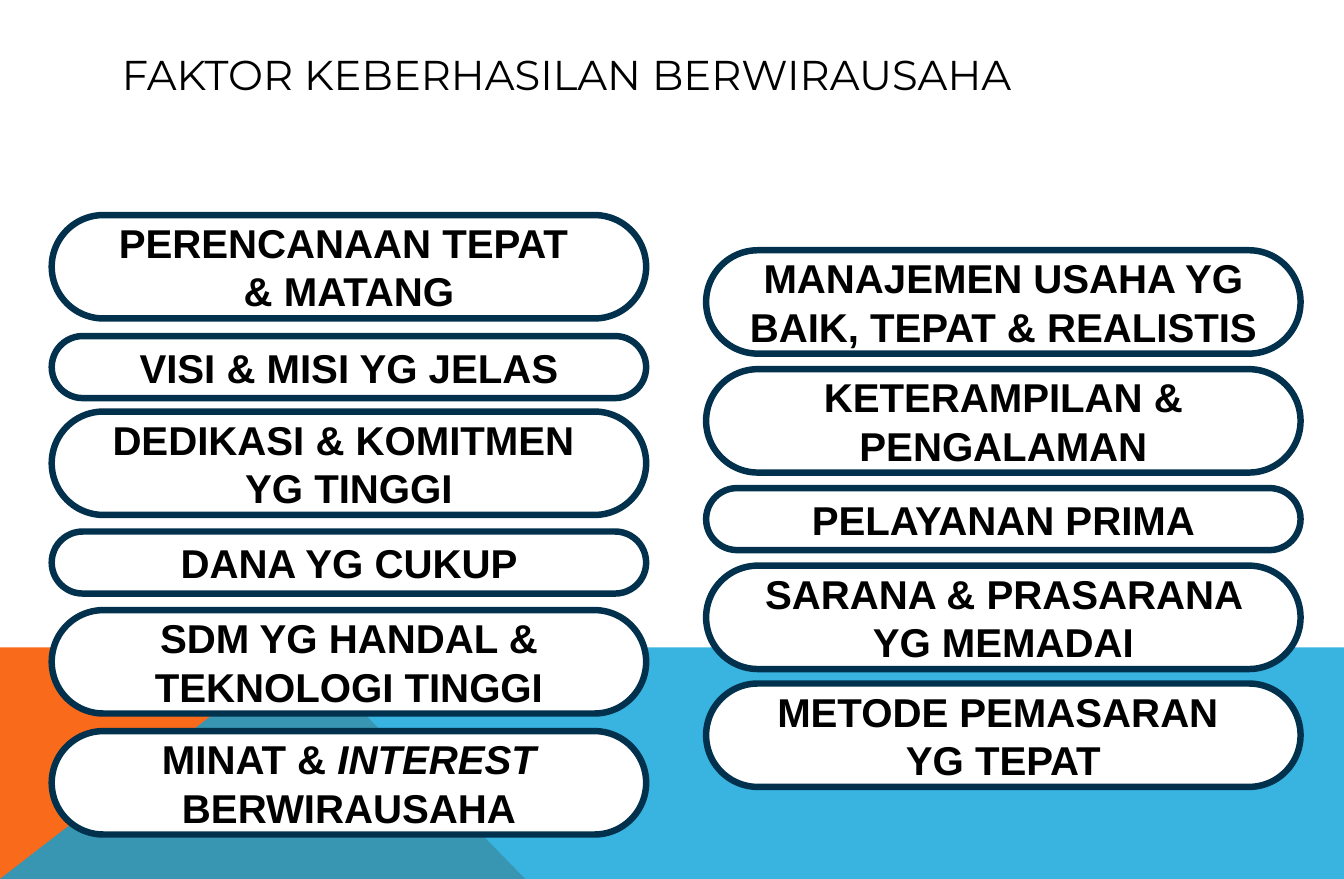
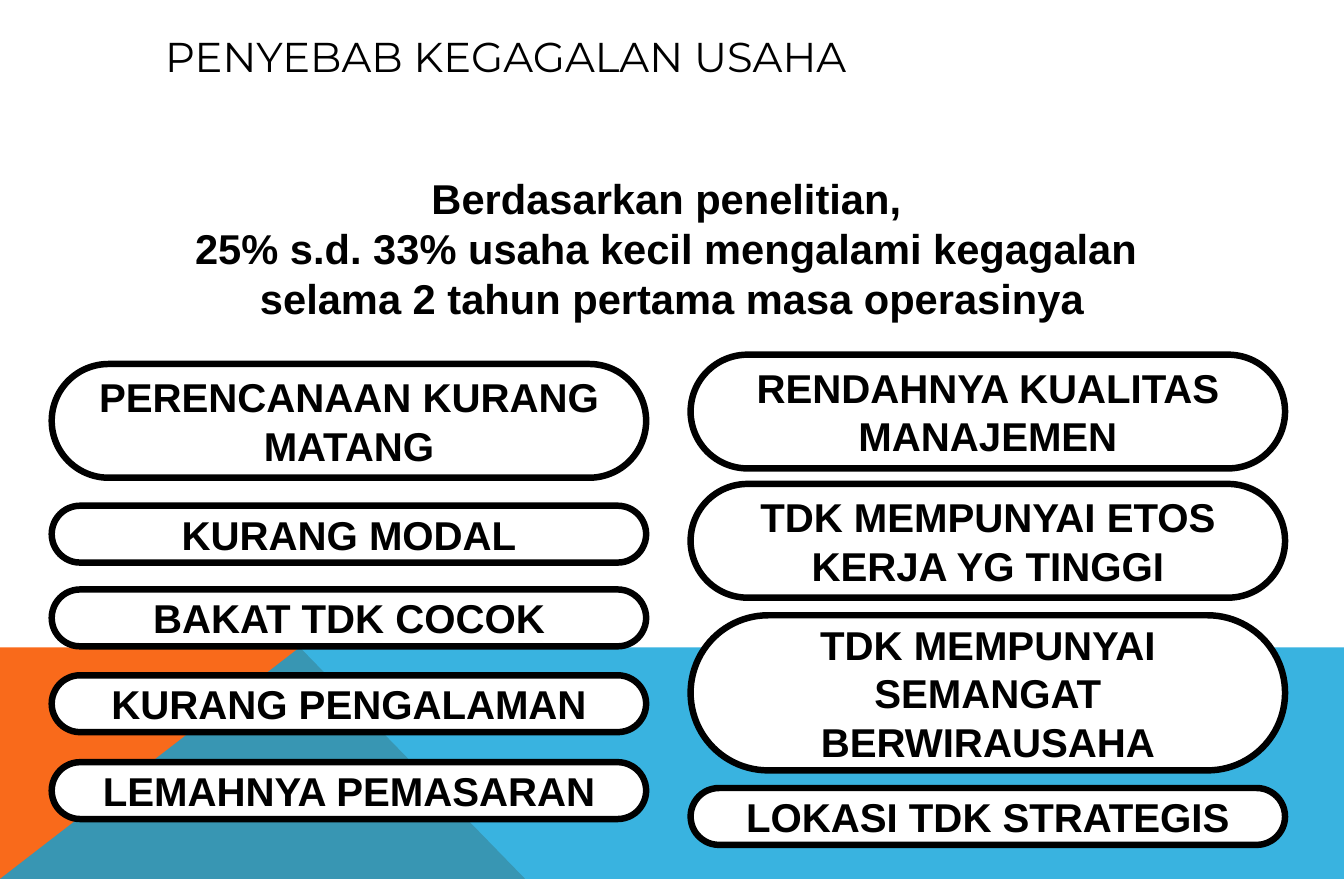
from dataclasses import dataclass

from lxml.etree import SubElement
from pptx import Presentation
from pptx.dml.color import RGBColor
from pptx.enum.shapes import MSO_SHAPE as Shape
from pptx.enum.text import MSO_ANCHOR as Anchor, MSO_AUTO_SIZE as AutoSize, PP_ALIGN as Align
from pptx.oxml.ns import qn
from pptx.util import Inches, Pt


@dataclass(frozen=True)
class Theme:
    white: str = "FFFFFF"
    black: str = "000000"
    navy: str = "01314C"
    orange: str = "F96A1B"
    blue: str = "08A1D9"
    blue_opacity: int = 80
    title_font: str = "Montserrat"
    body_font: str = "Arial"
    title_size: float = 29
    intro_size: float = 29
    pill_size: float = 28
    pill_line: float = 4.5
    title_outline: float = 0.75


THEME = Theme()
WIDTH, HEIGHT = 13, 8.5
PILL_WIDTH = 5.75
BAND_TOP, PEAK, FOOT = 6.26, 2.9, 5.08
BANDS = [
    ([(0, HEIGHT), (0, BAND_TOP), (PEAK, BAND_TOP), (FOOT, HEIGHT)], THEME.orange, 100),
    ([(0, HEIGHT), (PEAK, BAND_TOP), (WIDTH, BAND_TOP), (WIDTH, HEIGHT)],
     THEME.blue, THEME.blue_opacity),
]

# Each pill is (top, number of lines, text); a newline starts a paragraph
# and asterisks enclose italics.
SLIDES = [
    {
        "title": ("FAKTOR KEBERHASILAN BERWIRAUSAHA", (1.08, 0.42, 9.92, 1.33)),
        "line": THEME.navy,
        "heights": {1: 0.6, 2: 1},
        "columns": [
            (0.5, [
                (2.08, 2, "PERENCANAAN TEPAT \n& MATANG"),
                (3.25, 1, "VISI & MISI YG JELAS"),
                (3.98, 2, "DEDIKASI & KOMITMEN \nYG TINGGI"),
                (5.14, 1, "DANA YG CUKUP"),
                (5.9, 2, "SDM YG HANDAL & TEKNOLOGI TINGGI"),
                (7.07, 2, "MINAT & *INTEREST* BERWIRAUSAHA"),
            ]),
            (6.83, [
                (2.42, 2, "MANAJEMEN USAHA YG BAIK, TEPAT & REALISTIS"),
                (3.57, 2, "KETERAMPILAN & PENGALAMAN"),
                (4.72, 1, "PELAYANAN PRIMA"),
                (5.47, 2, "SARANA & PRASARANA YG MEMADAI"),
                (6.61, 2, "METODE PEMASARAN \nYG TEPAT"),
            ]),
        ],
    },
    {
        "title": ("PENYEBAB KEGAGALAN USAHA", (1.5, 0.25, 10, 1.25)),
        "intro": (
            "Berdasarkan penelitian, \n"
            "25% s.d. 33% usaha kecil mengalami kegagalan \n"
            "selama 2 tahun pertama masa operasinya",
            (1.17, 1.67, 10.67, 1.45),
        ),
        "line": THEME.black,
        "heights": {1: 0.55, 2: 1.1, 3: 1.5},
        "columns": [
            (0.5, [
                (3.52, 2, "PERENCANAAN KURANG MATANG"),
                (4.89, 1, "KURANG MODAL"),
                (5.7, 1, "BAKAT TDK COCOK"),
                (6.53, 1, "KURANG PENGALAMAN"),
                (7.37, 1, "LEMAHNYA PEMASARAN"),
            ]),
            (6.68, [
                (3.43, 2, "RENDAHNYA KUALITAS MANAJEMEN"),
                (4.68, 2, "TDK MEMPUNYAI ETOS KERJA YG TINGGI"),
                (5.95, 3, "TDK MEMPUNYAI SEMANGAT BERWIRAUSAHA"),
                (7.62, 1, "LOKASI TDK STRATEGIS"),
            ]),
        ],
    },
]


def color(value):
    return RGBColor.from_string(value)


def box(left, top, width, height):
    return Inches(left), Inches(top), Inches(width), Inches(height)


def write_text(frame, text, *, font=THEME.body_font, size=THEME.pill_size, bold=True,
               align=Align.CENTER, outline=None):
    for index, line in enumerate(text.split("\n")):
        paragraph = frame.paragraphs[0] if index == 0 else frame.add_paragraph()
        paragraph.alignment = align
        for part, words in enumerate(line.split("*")):
            run = paragraph.add_run()
            run.text = words
            run.font.name = font
            run.font.size = Pt(size)
            run.font.bold = bold
            run.font.italic = part % 2 == 1
            run.font.color.rgb = color(THEME.black)
            if outline:
                add_outline(run, outline)


def add_outline(run, width):
    properties = run.font.fill._xPr
    line = properties.makeelement(qn("a:ln"), {"w": str(Pt(width))})
    SubElement(SubElement(line, qn("a:solidFill")), qn("a:srgbClr"), val=THEME.white)
    properties.insert(0, line)


def add_bands(slide):
    for points, fill, opacity in BANDS:
        (start_x, start_y), *others = [(Inches(x), Inches(y)) for x, y in points]
        builder = slide.shapes.build_freeform(start_x, start_y)
        builder.add_line_segments(others, close=True)
        band = builder.convert_to_shape()
        band.shadow.inherit = False
        band.fill.solid()
        band.fill.fore_color.rgb = color(fill)
        band.line.fill.background()
        if opacity < 100:
            rgb = band.fill._xPr.find(qn("a:solidFill")).find(qn("a:srgbClr"))
            SubElement(rgb, qn("a:alpha"), val=str(opacity * 1000))


def add_pill(slide, place, text, line):
    pill = slide.shapes.add_shape(Shape.ROUNDED_RECTANGLE, *box(*place))
    pill.adjustments[0] = 0.5
    pill.shadow.inherit = False
    pill.fill.solid()
    pill.fill.fore_color.rgb = color(THEME.white)
    pill.line.color.rgb = color(line)
    pill.line.width = Pt(THEME.pill_line)
    pill.text_frame.word_wrap = True
    pill.text_frame.vertical_anchor = Anchor.MIDDLE
    write_text(pill.text_frame, text)


def add_title(slide, text, place):
    frame = slide.shapes.add_textbox(*box(*place)).text_frame
    frame.word_wrap = False
    write_text(frame, text, font=THEME.title_font, size=THEME.title_size, bold=False,
               align=Align.LEFT, outline=THEME.title_outline)


def add_intro(slide, text, place):
    frame = slide.shapes.add_textbox(*box(*place)).text_frame
    frame.word_wrap = True
    frame.auto_size = AutoSize.SHAPE_TO_FIT_TEXT
    frame.margin_left = frame.margin_right = frame.margin_top = frame.margin_bottom = 0
    write_text(frame, text, size=THEME.intro_size)


def main():
    presentation = Presentation()
    presentation.slide_width = Inches(WIDTH)
    presentation.slide_height = Inches(HEIGHT)
    for content in SLIDES:
        slide = presentation.slides.add_slide(presentation.slide_layouts[6])
        add_bands(slide)
        for left, pills in content["columns"]:
            for top, lines, text in pills:
                place = (left, top, PILL_WIDTH, content["heights"][lines])
                add_pill(slide, place, text, content["line"])
        if "intro" in content:
            add_intro(slide, *content["intro"])
        add_title(slide, *content["title"])
    presentation.save("out.pptx")


if __name__ == "__main__":
    main()
